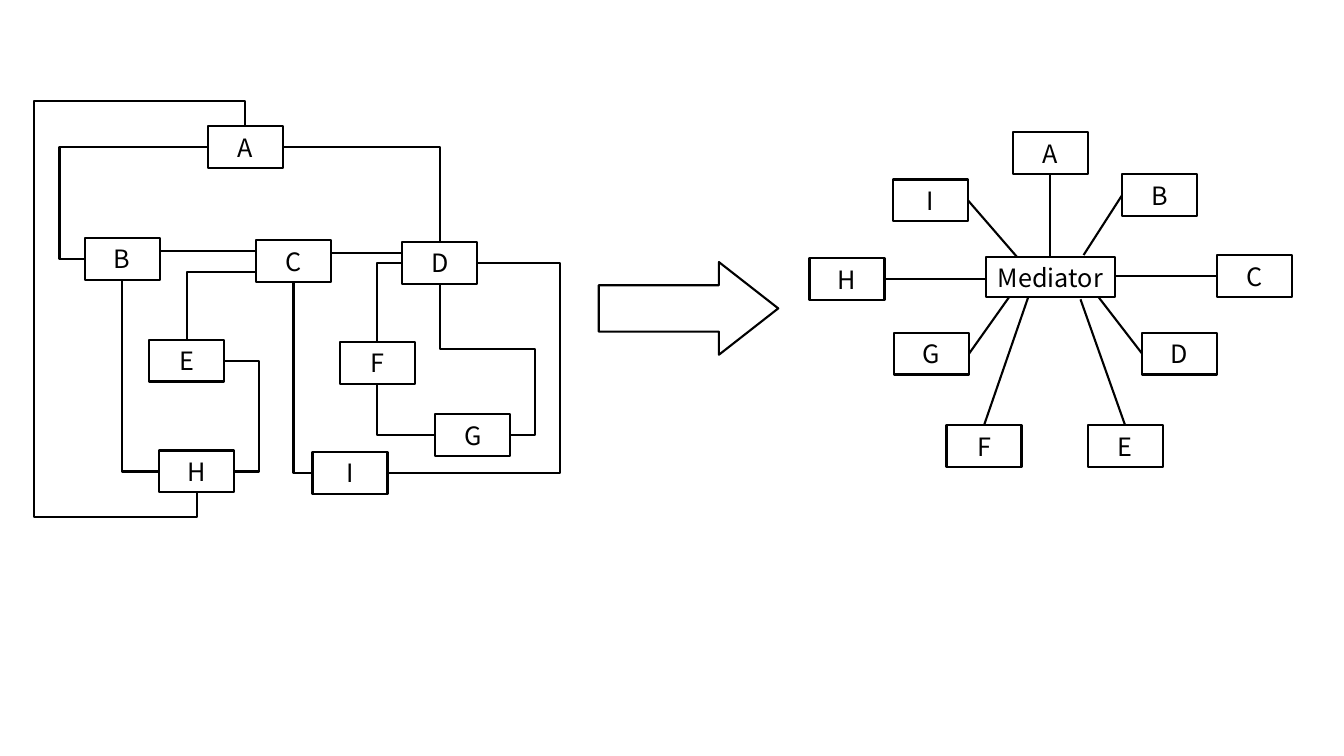
from lxml.etree import SubElement
from pptx import Presentation
from pptx.dml.color import RGBColor
from pptx.enum.shapes import MSO_CONNECTOR as Connector, MSO_SHAPE as Shape
from pptx.enum.text import MSO_ANCHOR as Anchor, PP_ALIGN as Align
from pptx.oxml.ns import qn
from pptx.util import Pt

FONT = "Noto Sans CJK SC"
BLACK = "000000"
NODE_SIZE = (53.6, 30)
TOP, LEFT, BOTTOM, RIGHT = range(4)

TANGLED_NODES = {
    "A": (148.3, 90), "B": (60.5, 169.9), "C": (182.9, 171.4),
    "D": (287.3, 172.8), "E": (106.6, 242.6), "F": (242.6, 244.1),
    "G": (311, 295.9), "H": (113.8, 321.8), "I": (223.2, 322.6),
}
CORNERS = [
    ("H", LEFT, "B", BOTTOM), ("I", LEFT, "C", BOTTOM),
    ("A", RIGHT, "D", TOP), ("D", LEFT, "F", TOP), ("G", LEFT, "F", BOTTOM),
]
DETOURS = [
    ("A", LEFT, "B", LEFT, [42.5]), ("D", RIGHT, "I", RIGHT, [400.3]),
    ("H", RIGHT, "E", RIGHT, [185]), ("G", RIGHT, "D", BOTTOM, [382.3, 249.1]),
]
SPOKES = [
    ("A", 723.5, 94.3, BOTTOM, 750.3, 183.6),
    ("B", 801.4, 124.6, LEFT, 774, 182.2),
    ("C", 869, 182.2, LEFT, 796.4, 197.2),
    ("D", 815.8, 237.6, LEFT, 784.8, 212.4),
    ("E", 776.9, 303.8, TOP, 771.8, 213.8),
    ("F", 676.1, 303.8, TOP, 734.4, 212.4),
    ("G", 638.6, 237.6, RIGHT, 720.7, 212.4),
    ("H", 578.2, 184.3, RIGHT, 704.2, 199.3),
    ("I", 637.9, 128.2, RIGHT, 726.5, 183.6),
]


def color(hex_string):
    return RGBColor.from_string(hex_string)


def add_outline(slide, preset, left, top, width, height):
    shape = slide.shapes.add_shape(preset, Pt(left), Pt(top), Pt(width), Pt(height))
    shape.shadow.inherit = False
    shape.fill.background()
    shape.line.color.rgb = color(BLACK)
    shape.line.width = Pt(1.5)
    return shape


def add_node(slide, label, left, top, width=NODE_SIZE[0], height=NODE_SIZE[1]):
    shape = add_outline(slide, Shape.RECTANGLE, left, top, width, height)
    text_frame = shape.text_frame
    text_frame.margin_top = text_frame.margin_bottom = 0
    text_frame.vertical_anchor = Anchor.MIDDLE
    text_frame.text = label
    paragraph = text_frame.paragraphs[0]
    paragraph.alignment = Align.CENTER
    font = paragraph.runs[0].font
    font.name = FONT
    font.size = Pt(18)
    font.color.rgb = color(BLACK)
    return shape


def add_link(slide, begin=(0, 0), end=(0, 0), kind=Connector.STRAIGHT):
    connector = slide.shapes.add_connector(kind, *map(Pt, begin + end))
    connector.line.color.rgb = color(BLACK)
    connector.line.width = Pt(1.5)
    SubElement(connector.element.spPr, qn("a:effectLst"))
    return connector


def set_bends(connector, stops, first_axis=0):
    begins = (connector.begin_x, connector.begin_y)
    ends = (connector.end_x, connector.end_y)
    geometry = connector.element.spPr.find(qn("a:prstGeom"))
    geometry.set("prst", f"bentConnector{len(stops) + 2}")
    guides = geometry.get_or_add_avLst()
    for index, stop in enumerate(stops):
        axis = (first_axis + index) % 2
        ratio = (Pt(stop) - begins[axis]) / (ends[axis] - begins[axis])
        SubElement(guides, qn("a:gd"), name=f"adj{index + 1}",
                   fmla=f"val {round(ratio * 100000)}")


def add_elbow(slide, begin_node, begin_side, end_node, end_side):
    connector = add_link(slide, kind=Connector.ELBOW)
    connector.begin_connect(begin_node, begin_side)
    connector.end_connect(end_node, end_side)
    return connector


def turn_upright(connector):
    width, height = connector.width, connector.height
    connector.left += (width - height) // 2
    connector.top += (height - width) // 2
    connector.width, connector.height = height, width
    transform = connector.element.spPr.find(qn("a:xfrm"))
    for name, value in (("rot", "16200000"), ("flipH", "1"), ("flipV", "1")):
        transform.set(name, value)


def draw_tangle(slide):
    nodes = {label: add_node(slide, label, *place)
             for label, place in TANGLED_NODES.items()}
    for begin, begin_side, end, end_side in CORNERS:
        set_bends(add_elbow(slide, nodes[begin], begin_side, nodes[end], end_side), [])
    for begin, begin_side, end, end_side, stops in DETOURS:
        connector = add_elbow(slide, nodes[begin], begin_side, nodes[end], end_side)
        set_bends(connector, stops)

    around = add_elbow(slide, nodes["A"], TOP, nodes["H"], BOTTOM)
    set_bends(around, [72, 24.5, 369.4], first_axis=1)
    turn_upright(around)

    branch = add_link(slide, (182.9, 194.4), (133.4, 242.6), Connector.ELBOW)
    branch.end_connect(nodes["E"], TOP)
    set_bends(branch, [])

    add_link(slide, (114.1, 179.3), (182.9, 179.3))
    add_link(slide, (236.5, 180.7), (287.3, 180.7))


def draw_mediator(slide):
    mediator = add_node(slide, "Mediator", 704.2, 183.6, 92.2, 28.8)
    for label, left, top, side, end_x, end_y in SPOKES:
        node = add_node(slide, label, left, top)
        spoke = add_link(slide, end=(end_x, end_y))
        spoke.begin_connect(node, side)
        if label == "A":
            spoke.end_connect(mediator, TOP)


def main():
    presentation = Presentation()
    presentation.slide_width = Pt(960)
    presentation.slide_height = Pt(540)
    slide = presentation.slides.add_slide(presentation.slide_layouts[6])
    draw_tangle(slide)
    draw_mediator(slide)
    arrow = add_outline(slide, Shape.RIGHT_ARROW, 427.7, 187.2, 128.2, 66.2)
    arrow.adjustments[0] = 0.5
    arrow.adjustments[1] = 0.64
    presentation.save("out.pptx")


if __name__ == "__main__":
    main()
